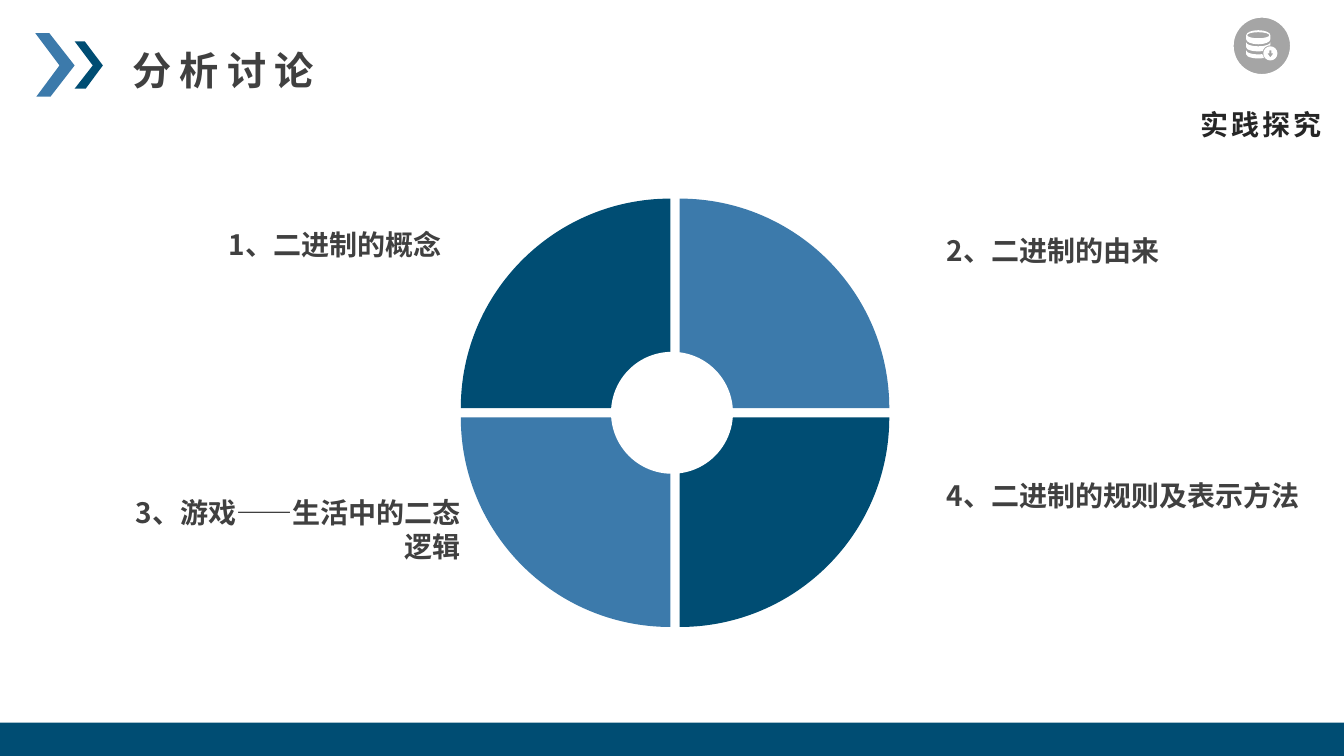
from dataclasses import dataclass
from math import ceil, cos, radians, sin, tan

from pptx import Presentation
from pptx.dml.color import RGBColor
from pptx.enum.shapes import MSO_SHAPE as Kind
from pptx.enum.text import MSO_ANCHOR as Anchor, MSO_AUTO_SIZE as Fit, PP_ALIGN as Align
from pptx.oxml.ns import qn
from pptx.oxml.xmlchemy import OxmlElement as Element
from pptx.util import Emu, Pt

SCALE = 9144  # EMU in one px, 100 px to the inch
NAVY = RGBColor(0x00, 0x4D, 0x73)
BLUE = RGBColor(0x3C, 0x7A, 0xAB)
GREY = RGBColor(0xA5, 0xA5, 0xA5)
WHITE = RGBColor(0xFF, 0xFF, 0xFF)
DARK = RGBColor(0x40, 0x40, 0x40)
BLACK = RGBColor(0x26, 0x26, 0x26)
NOTO = "Noto Sans CJK SC"

Point = tuple[float, float]
Box = tuple[int, int, int, int]
Path = list[tuple[Point, ...]]  # one point is a line, three are a curve


@dataclass
class Label:
    text: str
    box: Box
    align: Align = Align.LEFT
    size: int = 20
    face: str = NOTO
    color: RGBColor = DARK
    gap: int = 0
    lines: float | None = None
    wrap: bool = True
    fit: Fit = Fit.SHAPE_TO_FIT_TEXT
    anchor: Anchor = Anchor.TOP
    base: int = 5


@dataclass
class Wedge:
    hub: Point
    start: int
    color: RGBColor


TITLE = Label("分析讨论", (121, 41, 209, 57), size=28, face="Calibri", gap=6, wrap=False)
LABELS = [
    Label("2、二进制的由来", (929, 227, 253, 44)),
    Label("4、二进制的规则及表示方法", (929, 470, 372, 44)),
    Label("1、二进制的概念", (213, 221, 235, 44), Align.RIGHT),
    Label("3、游戏——生活中的二态逻辑", (121, 487, 346, 77), Align.RIGHT),
    Label("实践探究", (1170, 95, 162, 45), Align.CENTER, face="Arial", color=BLACK,
          gap=2, lines=1.2, fit=Fit.NONE, anchor=Anchor.MIDDLE, base=0),
]
WEDGES = [Wedge((665, 405), 180, NAVY), Wedge((674, 405), 270, BLUE),
          Wedge((665, 414), 90, BLUE), Wedge((674, 414), 0, NAVY)]
CHEVRONS = [
    ([(35, 33), (49, 33), (74, 65), (50, 96), (36, 96), (59, 65)], BLUE),
    ([(74, 41), (84, 41), (102, 65), (85, 88), (74, 88), (92, 65)], NAVY),
]


def px(val: float) -> Emu:
    return Emu(round(val * SCALE))


def assign(item: object, look: dict) -> None:
    for name, val in look.items():
        setattr(item, name, val)


def paint(shape, color: RGBColor) -> None:
    shape.shadow.inherit = False
    shape.fill.solid()
    shape.fill.fore_color.rgb = color
    shape.line.fill.background()


def draw(shapes, kind: Kind, box: Box, color: RGBColor):
    shape = shapes.add_shape(kind, *map(px, box))
    paint(shape, color)
    return shape


def lines(dots: list[Point]) -> Path:
    return [(dot,) for dot in dots]


def arc(mid: Point, wide: int, high: int, start: int, stop: int) -> Path:
    """Trace an elliptic arc with one curve per quarter or less."""
    count = ceil(abs(stop - start) / 90)
    part = radians(stop - start) / count
    pull = 4 / 3 * tan(part / 4)

    def spot(turn: float, lean: float) -> Point:
        return (mid[0] + wide * (cos(turn) - lean * sin(turn)),
                mid[1] + high * (sin(turn) + lean * cos(turn)))

    turns = [radians(start) + part * i for i in range(count + 1)]
    return [(spot(turns[0], 0),)] + [
        (spot(a, pull), spot(b, -pull), spot(b, 0)) for a, b in zip(turns, turns[1:])]


def trace(shapes, paths: list[Path], color: RGBColor) -> None:
    pen = None
    for path in paths:
        dots = [(px(x), px(y)) for step in path for x, y in step]
        if pen is None:
            pen = shapes.build_freeform(*dots[0])
        else:
            pen.move_to(*dots[0])
        pen.add_line_segments(dots[1:], close=True)
    shape = pen.convert_to_shape()
    paint(shape, color)

    # Join each set of three curve points
    legs = iter(list(shape._element.iter(qn("a:lnTo"))))
    steps = [step for path in paths for step in path[1:] + [path[0]]]
    for step in steps:
        if len(step) == 3:
            bend = Element("a:cubicBezTo")
            trio = [next(legs) for _ in step]
            trio[0].addprevious(bend)
            for leg in trio:
                bend.append(leg[0])
                leg.getparent().remove(leg)
        elif not any(step is path[0] for path in paths):
            next(legs)


def write(shape, label: Label) -> None:
    left, top, width, height = map(px, label.box)
    assign(shape, dict(left=left, top=top, width=width, height=height))
    frame = shape.text_frame
    frame.text = label.text
    assign(frame, dict(
        word_wrap=label.wrap, auto_size=label.fit, vertical_anchor=label.anchor,
        margin_left=px(10), margin_right=px(10), margin_top=px(5),
        margin_bottom=px(label.base)))
    para = frame.paragraphs[0]
    assign(para, dict(alignment=label.align, line_spacing=label.lines))
    run = para.runs[0]
    assign(run.font, dict(size=Pt(label.size), name=label.face, bold=True))
    run.font.color.rgb = label.color
    props = run.font._element
    props.set("lang", "zh-CN")
    if label.gap:
        props.set("spc", str(label.gap * 100))
    east = Element("a:ea")
    east.set("typeface", NOTO)
    props.find(qn("a:latin")).addnext(east)


def store(shapes) -> None:
    """Draw the database icon with its download badge."""
    mid, hub = 1248, (1260, 53)
    body = arc((mid, 35), 12, 5, 180, 360) + arc((mid, 39), 12, 5, 0, 180)
    lid = arc((mid, 35), 11, 3, 0, 360)
    belt = (arc((mid, 42), 12, 4, 180, 0) + arc(hub, 8, 8, 270, 195)
            + arc((mid, 47), 12, 4, 70, 180))
    foot = (arc((mid, 50), 12, 4, 180, 70) + arc(hub, 8, 8, 175, 140)
            + arc((mid, 54), 12, 4, 62, 180))
    badge = arc(hub, 7, 7, 0, 360)
    arrow = lines([(1259, 50), (1259, 53), (1257, 53), (1260, 57),
                   (1263, 53), (1261, 53), (1261, 50)])
    trace(shapes, [body, lid, belt, foot, badge, arrow], WHITE)


def main() -> None:
    deck = Presentation()
    assign(deck, dict(slide_width=px(1333), slide_height=px(750)))
    slide = deck.slides.add_slide(deck.slide_layouts[5])
    shapes = slide.shapes

    # Header and footer
    write(shapes.title, TITLE)
    for dots, color in CHEVRONS:
        trace(shapes, [lines(dots)], color)
    draw(shapes, Kind.RECTANGLE, (0, 717, 1333, 33), NAVY)

    # Ring of four quarters
    for wedge in WEDGES:
        edge = arc(wedge.hub, 208, 208, wedge.start, wedge.start + 90)
        trace(shapes, [lines([wedge.hub]) + edge], wedge.color)
    draw(shapes, Kind.OVAL, (606, 349, 121, 121), WHITE)

    # Section icon
    disc = draw(shapes, Kind.OVAL, (1222, 16, 59, 59), GREY)
    disc.line.color.rgb = WHITE
    disc.line.width = Pt(2.25)
    store(shapes)

    # Labels
    for label in LABELS:
        write(shapes.add_textbox(*map(px, label.box)), label)

    deck.save("out.pptx")


if __name__ == "__main__":
    main()
